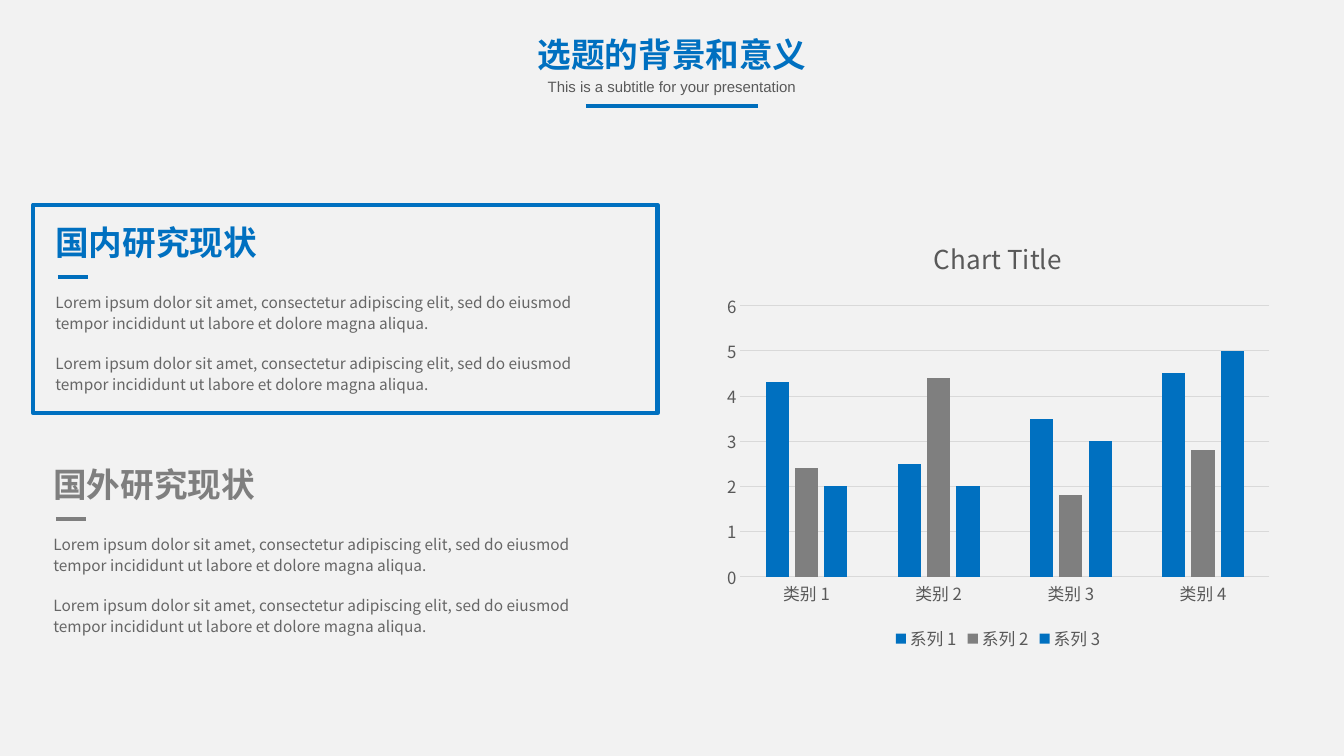
from dataclasses import dataclass

from lxml.etree import SubElement
from pptx import Presentation
from pptx.chart.data import CategoryChartData
from pptx.dml.color import RGBColor
from pptx.enum.chart import XL_CHART_TYPE as ChartType
from pptx.enum.chart import XL_LEGEND_POSITION as LegendPosition
from pptx.enum.chart import XL_TICK_MARK as TickMark
from pptx.enum.shapes import MSO_CONNECTOR as Connector
from pptx.enum.shapes import MSO_SHAPE as ShapeKind
from pptx.enum.text import MSO_ANCHOR as Anchor
from pptx.enum.text import MSO_AUTO_SIZE as AutoSize
from pptx.enum.text import PP_ALIGN as Align
from pptx.oxml.ns import qn
from pptx.util import Inches, Pt

WIDTH, HEIGHT = Inches(13.33), Inches(7.5)


@dataclass(frozen=True)
class Theme:
    sans: str = "Noto Sans CJK SC"
    latin: str = "Arial"
    blue: str = "0070C0"
    rule_blue: str = "006EBC"
    gray: str = "7F7F7F"
    body_gray: str = "666666"
    label_gray: str = "595959"
    grid_gray: str = "D9D9D9"
    background: str = "F2F2F2"
    heading_size: float = 24
    subtitle_size: float = 10.7
    body_size: float = 11
    chart_title_size: float = 18.6
    label_size: float = 12
    rule_width: float = 3
    grid_width: float = 0.75


THEME = Theme()


@dataclass(frozen=True)
class Box:
    """Place and size in percent of the slide's width and height."""
    left: float
    top: float
    width: float
    height: float

    def emu(self) -> tuple[int, int, int, int]:
        return (across(self.left), down(self.top),
                across(self.width), down(self.height))


@dataclass(frozen=True)
class TextStyle:
    size: float
    color: str
    font: str = THEME.sans
    bold: bool = False
    align: Align = Align.LEFT
    line_spacing: float = 1.0
    gap: float = 0


@dataclass(frozen=True)
class Section:
    heading: str
    left: float
    top: float
    color: str
    rule_color: str


@dataclass(frozen=True)
class Series:
    name: str
    values: tuple[float, ...]
    color: str


LOREM = ("Lorem ipsum dolor sit amet, consectetur adipiscing elit, sed do eiusmod "
         "tempor incididunt ut labore et dolore magna aliqua.")
SECTIONS = (
    Section("国内研究现状", 3.38, 28.67, THEME.blue, THEME.rule_blue),
    Section("国外研究现状", 3.23, 60.67, THEME.gray, THEME.gray),
)
CATEGORIES = [f"类别 {number}" for number in range(1, 5)]
SERIES = (
    Series("系列 1", (4.3, 2.5, 3.5, 4.5), THEME.blue),
    Series("系列 2", (2.4, 4.4, 1.8, 2.8), THEME.gray),
    Series("系列 3", (2, 2, 3, 5), THEME.blue),
)


def across(percent: float) -> int:
    return round(WIDTH * percent / 100)


def down(percent: float) -> int:
    return round(HEIGHT * percent / 100)


def rgb(color: str) -> RGBColor:
    return RGBColor.from_string(color)


def style_font(font, size: float, color: str, name: str = THEME.sans,
               bold: bool = False) -> None:
    font.size, font.name, font.bold = Pt(size), name, bold
    font.color.rgb = rgb(color)


def write_text(shape, texts: list[str], style: TextStyle, inset: bool = True) -> None:
    frame = shape.text_frame
    frame.word_wrap, frame.auto_size = True, AutoSize.NONE
    frame.vertical_anchor = Anchor.TOP
    if not inset:
        frame.margin_left = frame.margin_right = 0
        frame.margin_top = frame.margin_bottom = 0
    for index, text in enumerate(texts):
        paragraph = frame.add_paragraph() if index else frame.paragraphs[0]
        paragraph.text = text
        paragraph.alignment = style.align
        paragraph.line_spacing = style.line_spacing
        paragraph.space_before = Pt(style.gap if index else 0)
        style_font(paragraph.font, style.size, style.color, style.font, style.bold)
        properties = paragraph._p.pPr.find(qn("a:defRPr"))
        SubElement(properties, qn("a:ea")).set("typeface", style.font)


def add_text(slide, box: Box, texts: list[str], style: TextStyle,
             inset: bool = True) -> None:
    write_text(slide.shapes.add_textbox(*box.emu()), texts, style, inset)


def add_rule(slide, left: float, top: float, length: float, color: str) -> None:
    rule = slide.shapes.add_connector(Connector.STRAIGHT, across(left), down(top),
                                      across(left + length), down(top))
    rule.line.color.rgb, rule.line.width = rgb(color), Pt(THEME.rule_width)
    SubElement(rule._element.spPr, qn("a:effectLst"))


def add_section(slide, section: Section) -> None:
    left, top = section.left, section.top
    add_text(slide, Box(left, top, 25.88, 6.67), [section.heading],
             TextStyle(THEME.heading_size, section.color, bold=True))
    add_rule(slide, left + 0.93, top + 7.93, 2.25, section.rule_color)
    add_text(slide, Box(left, top + 9.25, 42.16, 14.67), [LOREM, LOREM],
             TextStyle(THEME.body_size, THEME.body_gray, line_spacing=1.1, gap=14.6))


def add_column_chart(slide, box: Box) -> None:
    data = CategoryChartData()
    data.categories = CATEGORIES
    for series in SERIES:
        data.add_series(series.name, series.values)
    chart = slide.shapes.add_chart(ChartType.COLUMN_CLUSTERED, *box.emu(), data).chart
    style_font(chart.font, THEME.label_size, THEME.label_gray)

    chart.has_title = True
    title = chart.chart_title.text_frame.paragraphs[0]
    title.text = "Chart Title"
    style_font(title.font, THEME.chart_title_size, THEME.label_gray)

    chart.has_legend = True
    chart.legend.position = LegendPosition.BOTTOM
    chart.legend.include_in_layout = False
    style_font(chart.legend.font, THEME.label_size, THEME.label_gray)

    for axis in (chart.category_axis, chart.value_axis):
        axis.major_tick_mark = axis.minor_tick_mark = TickMark.NONE
        style_font(axis.tick_labels.font, THEME.label_size, THEME.label_gray)
    chart.value_axis.format.line.fill.background()
    gridlines = chart.value_axis.major_gridlines
    for line in (chart.category_axis.format.line, gridlines.format.line):
        line.color.rgb, line.width = rgb(THEME.grid_gray), Pt(THEME.grid_width)

    plot = chart.plots[0]
    plot.gap_width, plot.overlap, plot.vary_by_categories = 219, -27, False
    for column, series in zip(plot.series, SERIES):
        column.format.fill.solid()
        column.format.fill.fore_color.rgb = rgb(series.color)


def main() -> None:
    presentation = Presentation()
    presentation.slide_width, presentation.slide_height = WIDTH, HEIGHT
    slide = presentation.slides.add_slide(presentation.slide_layouts[5])
    slide.background.fill.solid()
    slide.background.fill.fore_color.rgb = rgb(THEME.background)

    # Title, subtitle and rule, centred on the slide
    title = slide.shapes.title
    title.left, title.top, title.width, title.height = Box(37.81, 3.87, 24.38, 6.67).emu()
    write_text(title, ["选题的背景和意义"],
               TextStyle(THEME.heading_size, THEME.blue, bold=True, align=Align.CENTER))
    add_text(slide, Box(40.13, 10.27, 19.74, 2.4),
             ["This is a subtitle for your presentation"],
             TextStyle(THEME.subtitle_size, THEME.label_gray, THEME.latin,
                       align=Align.CENTER), inset=False)
    add_rule(slide, 43.59, 14, 12.82, THEME.rule_blue)

    # Frame around the first section
    frame = slide.shapes.add_shape(ShapeKind.RECTANGLE, *Box(2.48, 27.07, 46.44, 27.6).emu())
    frame.shadow.inherit = False
    frame.fill.background()
    frame.line.color.rgb, frame.line.width = rgb(THEME.blue), Pt(THEME.rule_width)

    # Research sections on the left, chart on the right
    for section in SECTIONS:
        add_section(slide, section)
    add_column_chart(slide, Box(53.26, 28.67, 42.01, 58))

    presentation.save("out.pptx")


if __name__ == "__main__":
    main()
